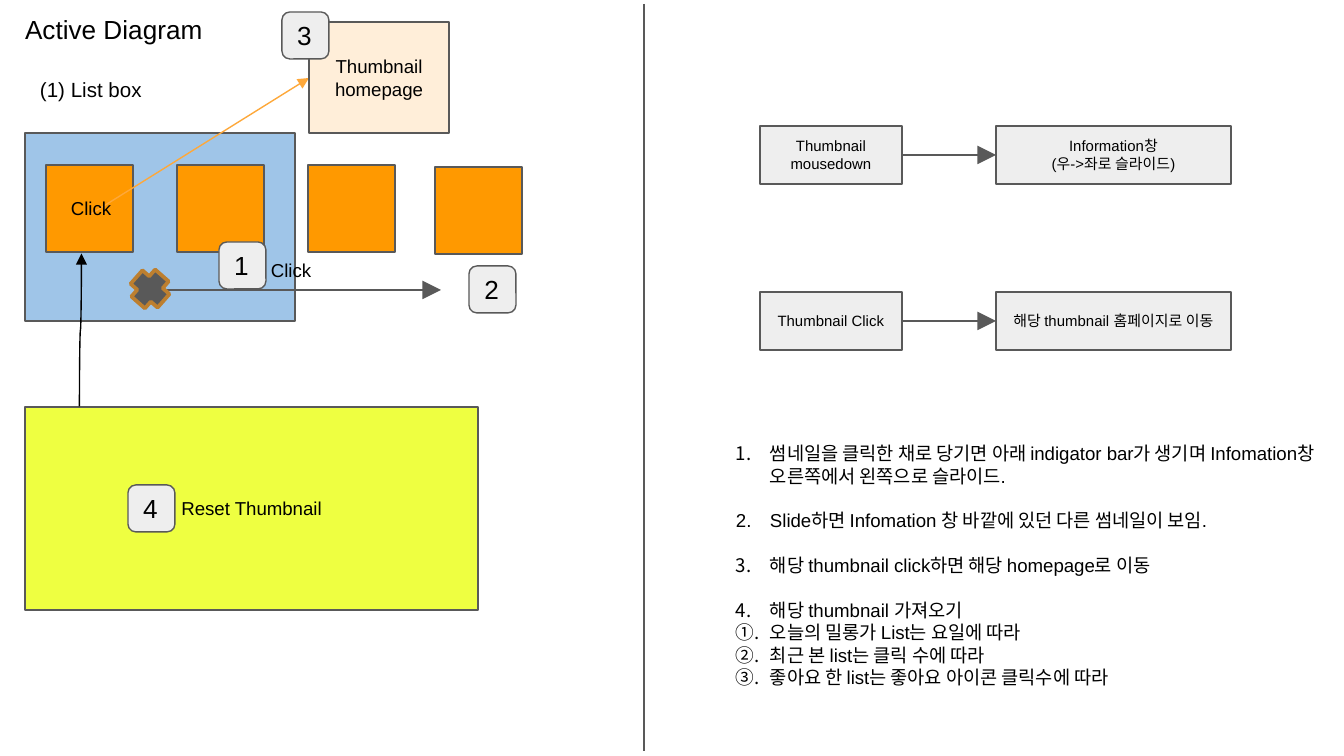
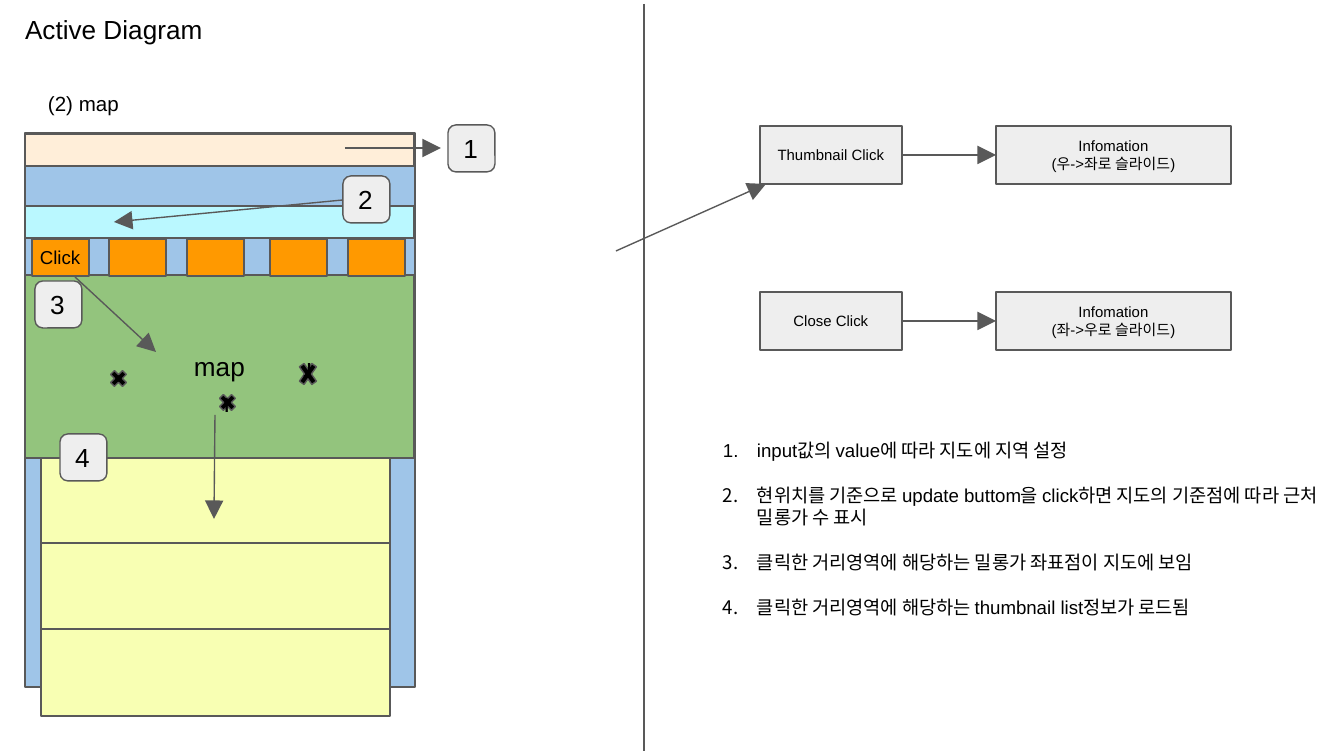
from dataclasses import dataclass
from typing import NamedTuple

from lxml import etree
from pptx import Presentation
from pptx import util as u
from pptx.dml import color
from pptx.enum import shapes, text
from pptx.oxml import ns

SCALE = 914400 / 134.4
KIND = shapes.MSO_SHAPE
LINE = shapes.MSO_CONNECTOR
ALIGN = text.PP_ALIGN


@dataclass(frozen=True)
class Theme:
    """Colours, font and type sizes of both slides."""
    font: str = "Arial"
    ink: str = "000000"
    outline: str = "595959"
    panel: str = "9FC5E8"
    thumbnail: str = "FF9900"
    homepage: str = "FFEED9"
    box: str = "EEEEEE"
    reset: str = "EEFF41"
    search: str = "BAF8FF"
    map: str = "93C47D"
    row: str = "F8FFB3"
    link: str = "FEA83A"
    handle: str = "BD7F2F"
    title: int = 14
    subtitle: int = 11
    body: int = 10
    flow: int = 8
    hairline: float = 0.75


THEME = Theme()
INSET = 13
BADGE = 47


class Box(NamedTuple):
    """Left, top, width and height in pixels."""
    x: int
    y: int
    w: int
    h: int


class Arrow(NamedTuple):
    """A line between two points, with an arrowhead of a given size."""
    x1: int
    y1: int
    x2: int
    y2: int
    colour: str = THEME.outline
    head: str = "lg"


class Note(NamedTuple):
    """One numbered note; a gap is the space above it in points."""
    words: str
    gap: int = 12
    numbering: str = "arabicPeriod"


class Flow(NamedTuple):
    """A user action and the result it leads to."""
    top: int
    action: str
    result: str


def px(value: float) -> u.Emu:
    """Turn pixels into EMU."""
    return u.Emu(round(value * SCALE))


def rgb(value: str) -> color.RGBColor:
    """Turn a hex string into a colour."""
    return color.RGBColor.from_string(value)


def apply(target, values: dict) -> None:
    """Set attributes from a dict of format values."""
    for name, value in values.items():
        setattr(target, name, value)


def write(shape, words: str, size: int, align=ALIGN.LEFT,
          anchor=text.MSO_ANCHOR.MIDDLE) -> None:
    """Fill a shape with text, one paragraph a line."""
    frame = shape.text_frame
    frame.text = words
    apply(frame, dict(word_wrap=True, vertical_anchor=anchor,
                      margin_left=px(INSET), margin_right=px(INSET),
                      margin_top=px(INSET), margin_bottom=px(INSET)))
    for paragraph in frame.paragraphs:
        paragraph.alignment = align
        for run in paragraph.runs:
            apply(run.font, dict(name=THEME.font, size=u.Pt(size)))
            run.font.color.rgb = rgb(THEME.ink)


def draw_shape(slide, box: Box, fill: str, words: str = "", size: int = THEME.body,
               kind=KIND.RECTANGLE, align=ALIGN.CENTER,
               outline: str = THEME.outline, width: float = THEME.hairline):
    """Draw an outlined, filled shape with optional text."""
    shape = slide.shapes.add_shape(kind, *map(px, box))
    shape.shadow.inherit = False
    shape.fill.solid()
    shape.fill.fore_color.rgb = rgb(fill)
    shape.line.color.rgb = rgb(outline)
    shape.line.width = u.Pt(width)
    if words:
        write(shape, words, size, align)
    return shape


def draw_label(slide, box: Box, words: str, size: int,
               anchor=text.MSO_ANCHOR.MIDDLE):
    """Draw a plain text box."""
    label = slide.shapes.add_textbox(*map(px, box))
    write(label, words, size, anchor=anchor)
    return label


def draw_arrow(slide, arrow: Arrow, kind=LINE.STRAIGHT):
    """Draw a connector, with an arrowhead if it has one."""
    connector = slide.shapes.add_connector(kind, *map(px, arrow[:4]))
    connector.line.color.rgb = rgb(arrow.colour)
    connector.line.width = u.Pt(THEME.hairline)
    if arrow.head:
        etree.SubElement(connector.line._get_or_add_ln(), ns.qn("a:tailEnd"),
                         type="triangle", w=arrow.head, len=arrow.head)
    etree.SubElement(connector._element.spPr, ns.qn("a:effectLst"))
    return connector


def draw_badges(slide, corners: list[tuple[int, int]]) -> None:
    """Draw step badges numbered from 1."""
    for number, (x, y) in enumerate(corners, 1):
        draw_shape(slide, Box(x, y, BADGE, BADGE), THEME.box, str(number),
                   THEME.title, KIND.ROUNDED_RECTANGLE, ALIGN.LEFT)


def draw_flow(slide, flow: Flow) -> None:
    """Draw an action box, an arrow and a result box."""
    draw_shape(slide, Box(760, flow.top, 142, 58), THEME.box, flow.action, THEME.flow)
    draw_shape(slide, Box(996, flow.top, 235, 58), THEME.box, flow.result, THEME.flow)
    middle = flow.top + 29
    draw_arrow(slide, Arrow(902, middle, 996, middle))


def draw_notes(slide, x: int, y: int, notes: list[Note]) -> None:
    """Draw the numbered notes with hanging numbers."""
    words = "\n".join(note.words for note in notes)
    block = draw_label(slide, Box(x, y, 621, 251), words, THEME.body,
                       text.MSO_ANCHOR.TOP)
    block.text_frame.margin_right = 0
    for paragraph, note in zip(block.text_frame.paragraphs, notes):
        paragraph.space_before = u.Pt(note.gap)
        props = paragraph._p.get_or_add_pPr()
        props.set("marL", str(px(34)))
        props.set("indent", str(px(-34)))
        bullet_colour = etree.SubElement(props, ns.qn("a:buClr"))
        etree.SubElement(bullet_colour, ns.qn("a:srgbClr"), val=THEME.ink)
        etree.SubElement(props, ns.qn("a:buAutoNum"), type=note.numbering)


def start_slide(deck, subtitle: str, corner: tuple[int, int], flows: list[Flow]):
    """Add a slide with the title, subtitle, divider and flows."""
    slide = deck.slides.add_slide(deck.slide_layouts[6])
    top = text.MSO_ANCHOR.TOP
    draw_label(slide, Box(12, 0, 473, 47), "Active Diagram", THEME.title, top)
    draw_label(slide, Box(*corner, 332, 47), subtitle, THEME.subtitle, top)
    draw_arrow(slide, Arrow(644, 4, 644, 751, head=""))
    for flow in flows:
        draw_flow(slide, flow)
    return slide


def build_list_box(deck) -> None:
    """Build the slide on the list box."""
    slide = start_slide(deck, "(1) List box", (27, 65), [
        Flow(126, "Thumbnail mousedown", "Information창\n(우->좌로 슬라이드)"),
        Flow(292, "Thumbnail Click", "해당 thumbnail 홈페이지로 이동"),
    ])
    draw_shape(slide, Box(25, 133, 270, 188), THEME.panel)
    for x, y in [(46, 165), (177, 165), (308, 165), (435, 167)]:
        draw_shape(slide, Box(x, y, 87, 87), THEME.thumbnail)
    draw_shape(slide, Box(25, 407, 453, 203), THEME.reset, "Reset Thumbnail")
    draw_arrow(slide, Arrow(149, 290, 441, 290))
    draw_arrow(slide, Arrow(91, 214, 309, 78, THEME.link, "med"))
    draw_label(slide, Box(58, 185, 142, 47), "Click", THEME.body)
    handle = draw_shape(slide, Box(132, 271, 36, 36), THEME.outline,
                        kind=KIND.CROSS, outline=THEME.handle, width=2)
    handle.rotation = 41.4
    draw_label(slide, Box(258, 247, 142, 47), "Click", THEME.body)
    reset_link = draw_arrow(slide, Arrow(157, 331, 4, 329, THEME.ink, "med"),
                            LINE.CURVE)
    reset_link._element.spPr.xfrm.set("rot", str(90 * 60000))
    draw_shape(slide, Box(309, 22, 140, 111), THEME.homepage, "Thumbnail homepage")
    draw_badges(slide, [(219, 242), (469, 266), (282, 12), (128, 485)])
    circled = "circleNumDbPlain"
    draw_notes(slide, 723, 429, [
        Note("썸네일을 클릭한 채로 당기면 아래 indigator bar가 생기며 "
             "Infomation창 오른쪽에서 왼쪽으로 슬라이드.", 0),
        Note("Slide하면 Infomation 창 바깥에 있던 다른 썸네일이 보임."),
        Note("해당 thumbnail click하면 해당 homepage로 이동"),
        Note("해당 thumbnail 가져오기"),
        Note("오늘의 밀롱가 List는 요일에 따라", 0, circled),
        Note("최근 본 list는 클릭 수에 따라", 0, circled),
        Note("좋아요 한 list는 좋아요 아이콘 클릭수에 따라", 0, circled),
    ])


def build_map(deck) -> None:
    """Build the slide on the map."""
    slide = start_slide(deck, "(2) map", (35, 79), [
        Flow(126, "Thumbnail Click", "Infomation\n(우->좌로 슬라이드)"),
        Flow(292, "Close Click", "Infomation\n(좌->우로 슬라이드)"),
    ])
    draw_shape(slide, Box(25, 133, 390, 251), THEME.panel)
    draw_shape(slide, Box(25, 206, 389, 32), THEME.search)
    draw_shape(slide, Box(25, 384, 390, 303), THEME.panel)
    for row in range(3):
        draw_shape(slide, Box(41, 457 + 86 * row, 349, 87), THEME.row)
    draw_shape(slide, Box(25, 275, 389, 183), THEME.map, "map", THEME.title)
    for x in (32, 109, 187, 270, 348):
        draw_shape(slide, Box(x, 239, 57, 37), THEME.thumbnail)
    places = [(Box(107, 367, 23, 23), ""), (Box(216, 391, 23, 23), "r"),
              (Box(296, 357, 24, 34), "r")]
    for box, letter in places:
        marker = draw_shape(slide, box, THEME.ink, letter, THEME.title,
                            KIND.MATH_MULTIPLY, ALIGN.RIGHT)
    marker._element.spPr.xfrm.set("flipV", "1")
    draw_badges(slide, [(448, 125), (343, 176), (35, 281), (60, 434)])
    draw_shape(slide, Box(25, 134, 389, 32), THEME.homepage)
    draw_label(slide, Box(27, 234, 142, 47), "Click", THEME.body)
    for arrow in (Arrow(75, 277, 156, 352), Arrow(215, 415, 214, 519),
                  Arrow(345, 148, 441, 148), Arrow(343, 200, 114, 222),
                  Arrow(616, 251, 766, 184)):
        draw_arrow(slide, arrow)
    draw_notes(slide, 710, 426, [
        Note("input값의 value에 따라 지도에 지역 설정", 0),
        Note("현위치를 기준으로 update buttom을 click하면 지도의 기준점에 따라 "
             "근처 밀롱가 수 표시"),
        Note("클릭한 거리영역에 해당하는 밀롱가 좌표점이 지도에 보임"),
        Note("클릭한 거리영역에 해당하는 thumbnail list정보가 로드됨"),
    ])


def main() -> None:
    """Build and save the deck."""
    deck = Presentation()
    apply(deck, dict(slide_width=px(1344), slide_height=px(756)))
    build_list_box(deck)
    build_map(deck)
    deck.save("out.pptx")


main()
